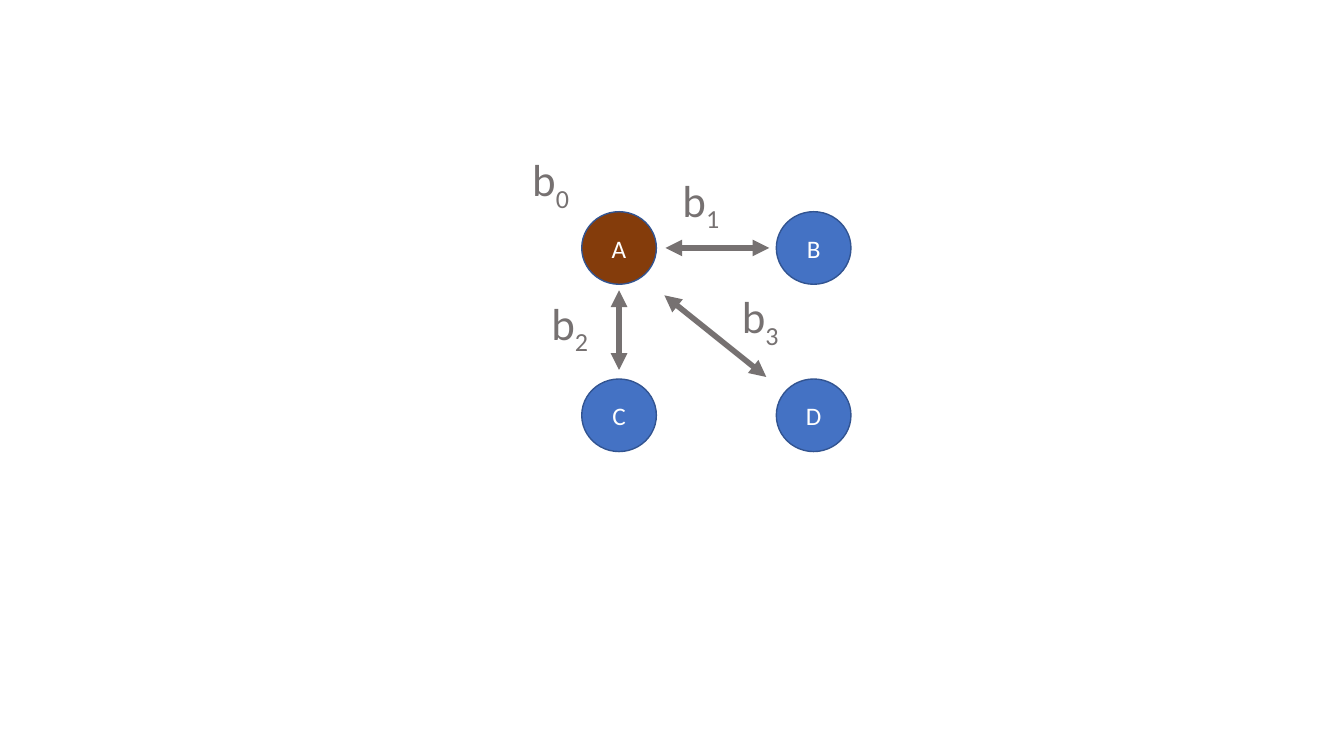
import dataclasses

import pptx
import pptx.dml.color
import pptx.enum.shapes
import pptx.enum.text
import pptx.oxml.ns
import pptx.util
from lxml import etree

Inches = pptx.util.Inches
Pt = pptx.util.Pt


@dataclasses.dataclass(frozen=True)
class Theme:
    font: str = "Calibri"
    center: str = "843C0B"
    neighbor: str = "4472C4"
    outline: str = "325491"
    gray: str = "767171"
    white: str = "FFFFFF"
    node_size: int = 18
    label_size: int = 32
    outline_width: int = 1
    arrow_width: int = 4


def rgb(code):
    return pptx.dml.color.RGBColor.from_string(code)


def write(paragraph, text, *, font, size, color, subscript=False):
    run = paragraph.add_run()
    run.text = text
    run.font.name = font
    run.font.size = Pt(size)
    run.font.color.rgb = rgb(color)
    if subscript:
        run._r.get_or_add_rPr().set("baseline", "-25000")


class Diagram:
    def __init__(self, slide, theme):
        self.theme = theme
        self.shapes = slide.shapes.add_group_shape().shapes

    def node(self, name, left, top, width, height, fill):
        theme = self.theme
        circle = self.shapes.add_shape(
            pptx.enum.shapes.MSO_SHAPE.OVAL,
            Inches(left), Inches(top), Inches(width), Inches(height))
        circle.shadow.inherit = False
        circle.fill.solid()
        circle.fill.fore_color.rgb = rgb(fill)
        circle.line.color.rgb = rgb(theme.outline)
        circle.line.width = Pt(theme.outline_width)
        circle.text_frame.vertical_anchor = pptx.enum.text.MSO_ANCHOR.MIDDLE
        paragraph = circle.text_frame.paragraphs[0]
        paragraph.alignment = pptx.enum.text.PP_ALIGN.CENTER
        write(paragraph, name, font=theme.font, size=theme.node_size, color=theme.white)

    def double_arrow(self, start, end):
        arrow = self.shapes.add_connector(
            pptx.enum.shapes.MSO_CONNECTOR.STRAIGHT,
            *(Inches(value) for value in (*start, *end)))
        arrow.line.color.rgb = rgb(self.theme.gray)
        arrow.line.width = Pt(self.theme.arrow_width)
        # Arrowheads at both ends, no shadow
        qn = pptx.oxml.ns.qn
        for end_tag in ("a:headEnd", "a:tailEnd"):
            etree.SubElement(arrow.line._get_or_add_ln(), qn(end_tag), type="triangle")
        etree.SubElement(arrow._element.spPr, qn("a:effectLst"))

    def label(self, letter, index, left, top):
        theme = self.theme
        box = self.shapes.add_textbox(
            Inches(left), Inches(top), Inches(0.59), Inches(0.64))
        box.text_frame.word_wrap = False
        box.text_frame.auto_size = pptx.enum.text.MSO_AUTO_SIZE.SHAPE_TO_FIT_TEXT
        paragraph = box.text_frame.paragraphs[0]
        style = dict(font=theme.font, size=theme.label_size, color=theme.gray)
        write(paragraph, letter, **style)
        write(paragraph, str(index), subscript=True, **style)


presentation = pptx.Presentation()
presentation.slide_width = Inches(13.33)
presentation.slide_height = Inches(7.5)
slide = presentation.slides.add_slide(presentation.slide_layouts[6])
theme = Theme()
diagram = Diagram(slide, theme)

# Nodes on a two-by-two grid
grid_left, grid_top = 5.77, 2.1
column_step, row_step = 1.93, 1.66
node_width, node_height = 0.74, 0.72
for position, name in enumerate("ABCD"):
    row, column = divmod(position, 2)
    diagram.node(name, grid_left + column * column_step, grid_top + row * row_step,
                 node_width, node_height,
                 theme.center if name == "A" else theme.neighbor)

# Links from A to B, D and C
center_x = grid_left + node_width / 2
center_y = grid_top + node_height / 2
diagram.double_arrow((6.6, center_y), (7.63, center_y))
diagram.double_arrow((6.59, 2.93), (7.6, 3.74))
diagram.double_arrow((center_x, 2.88), (center_x, 3.67))

# Coefficients of A and its links
coefficient_places = [(5.18, 1.46), (6.67, 1.66), (5.37, 2.88), (7.26, 2.82)]
for index, (left, top) in enumerate(coefficient_places):
    diagram.label("b", index, left, top)

presentation.save("out.pptx")
